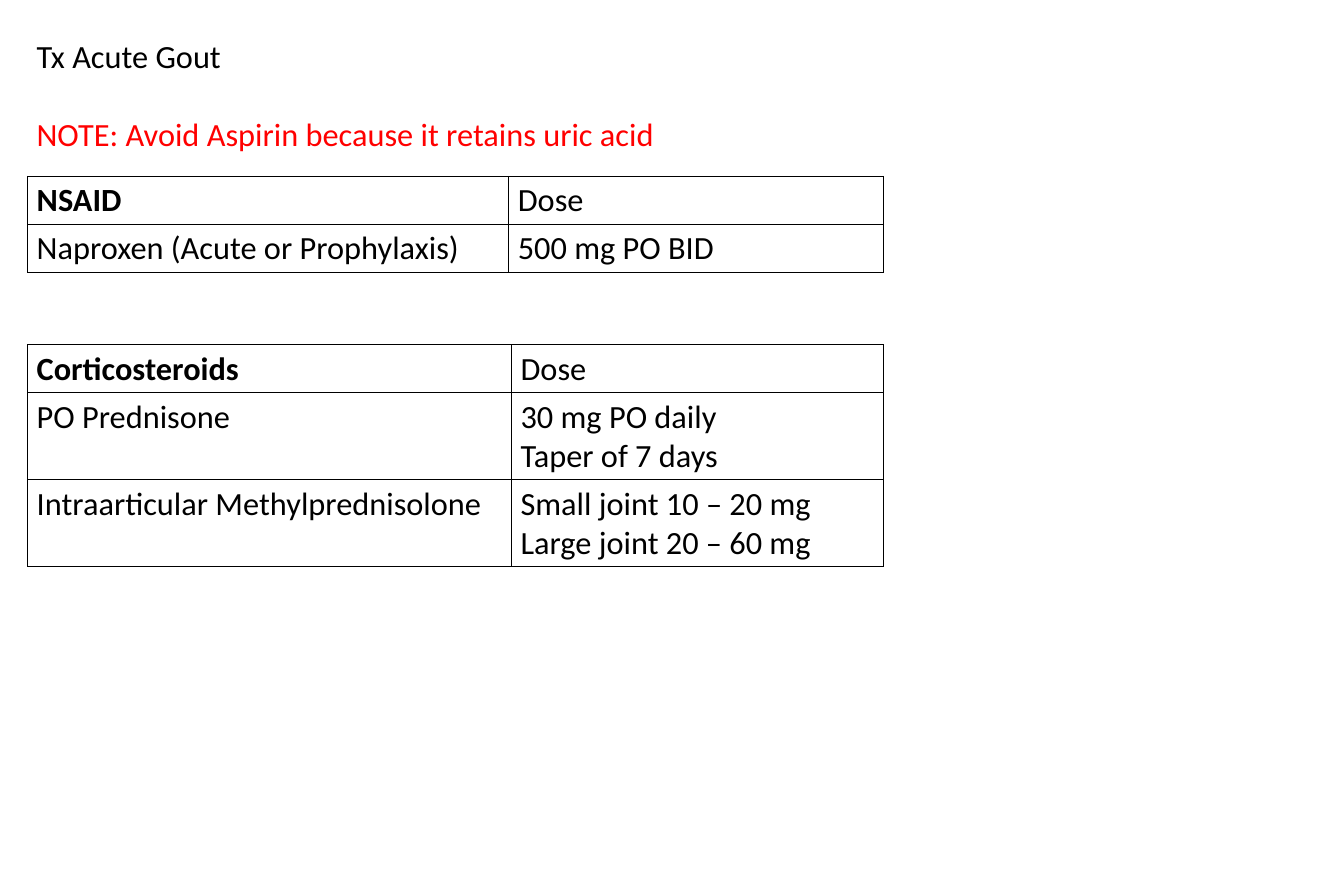
from dataclasses import dataclass

from lxml import etree
from pptx import Presentation
from pptx.dml.color import RGBColor
from pptx.enum.text import MSO_AUTO_SIZE
from pptx.oxml.ns import qn
from pptx.util import Inches, Pt

FIT_SHAPE = MSO_AUTO_SIZE.SHAPE_TO_FIT_TEXT
LEFT = 0.31
LINE_ROW, TWO_LINE_ROW = 0.53, 0.97


@dataclass(frozen=True)
class Theme:
    """Fonts, sizes and colours of the slide."""
    font: str = "Calibri"
    size: float = 26
    line_height: float = 31.7
    border_width: float = 1
    text: str = "000000"
    warning: str = "FF0000"
    border: str = "000000"


class SlideBuilder:
    """Draws styled elements on the current slide."""

    def __init__(self, slide, theme):
        self.s = slide
        self.theme = theme

    def run(self, p, text, color=None, bold=False):
        """Add one styled run to a paragraph."""
        r = p.add_run()
        r.text = text
        r.font.name = self.theme.font
        r.font.size = Pt(self.theme.size)
        r.font.bold = bold
        r.font.color.rgb = RGBColor.from_string(color or self.theme.text)

    def heading(self, x, y, w, h, title, note):
        """Add a title with a warning note one line below it."""
        sp = self.s.shapes.add_textbox(Inches(x), Inches(y), Inches(w), Inches(h))
        tf = sp.text_frame
        tf.word_wrap = False
        tf.auto_size = FIT_SHAPE
        self.run(tf.paragraphs[0], title)
        p = tf.add_paragraph()
        p.space_before = Pt(self.theme.line_height)
        self.run(p, note, self.theme.warning)

    def borders(self, cell):
        """Draw a solid line on all four sides of a cell."""
        tc_pr = cell._tc.get_or_add_tcPr()
        for side in ("a:lnL", "a:lnR", "a:lnT", "a:lnB"):
            ln = etree.SubElement(tc_pr, qn(side), w=str(Pt(self.theme.border_width)))
            fill = etree.SubElement(ln, qn("a:solidFill"))
            etree.SubElement(fill, qn("a:srgbClr"), val=self.theme.border)

    def table(self, x, y, widths, heights, rows):
        """Add a bordered table whose first cell is bold."""
        tbl = self.s.shapes.add_table(
            len(rows), len(widths), Inches(x), Inches(y),
            Inches(sum(widths)), Inches(sum(heights))).table
        tbl.first_row = tbl.horz_banding = False
        for column, width in zip(tbl.columns, widths):
            column.width = Inches(width)
        for i, (row, height) in enumerate(zip(rows, heights)):
            tbl.rows[i].height = Inches(height)
            for j, lines in enumerate(row):
                cell = tbl.cell(i, j)
                self.borders(cell)
                cell.fill.background()
                tf = cell.text_frame
                for k, line in enumerate(lines):
                    p = tf.add_paragraph() if k else tf.paragraphs[0]
                    self.run(p, line, bold=i == j == 0)


def main():
    """Build and save the gout treatment slide."""
    prs = Presentation()
    prs.slide_width, prs.slide_height = Inches(15), Inches(10)
    slide = SlideBuilder(prs.slides.add_slide(prs.slide_layouts[6]), Theme())
    slide.heading(LEFT, 0.35, 7.19, 1.41, "Tx Acute Gout",
                  "NOTE: Avoid Aspirin because it retains uric acid")
    slide.table(LEFT, 1.97, (5.37, 4.18), (LINE_ROW, LINE_ROW), [
        (["NSAID"], ["Dose"]),
        (["Naproxen (Acute or Prophylaxis)"], ["500 mg PO BID"]),
    ])
    slide.table(LEFT, 3.85, (5.4, 4.15), (LINE_ROW, TWO_LINE_ROW, TWO_LINE_ROW), [
        (["Corticosteroids"], ["Dose"]),
        (["PO Prednisone"], ["30 mg PO daily", "Taper of 7 days"]),
        (["Intraarticular Methylprednisolone"],
         ["Small joint 10 – 20 mg", "Large joint 20 – 60 mg"]),
    ])
    prs.save("out.pptx")


if __name__ == "__main__":
    main()
